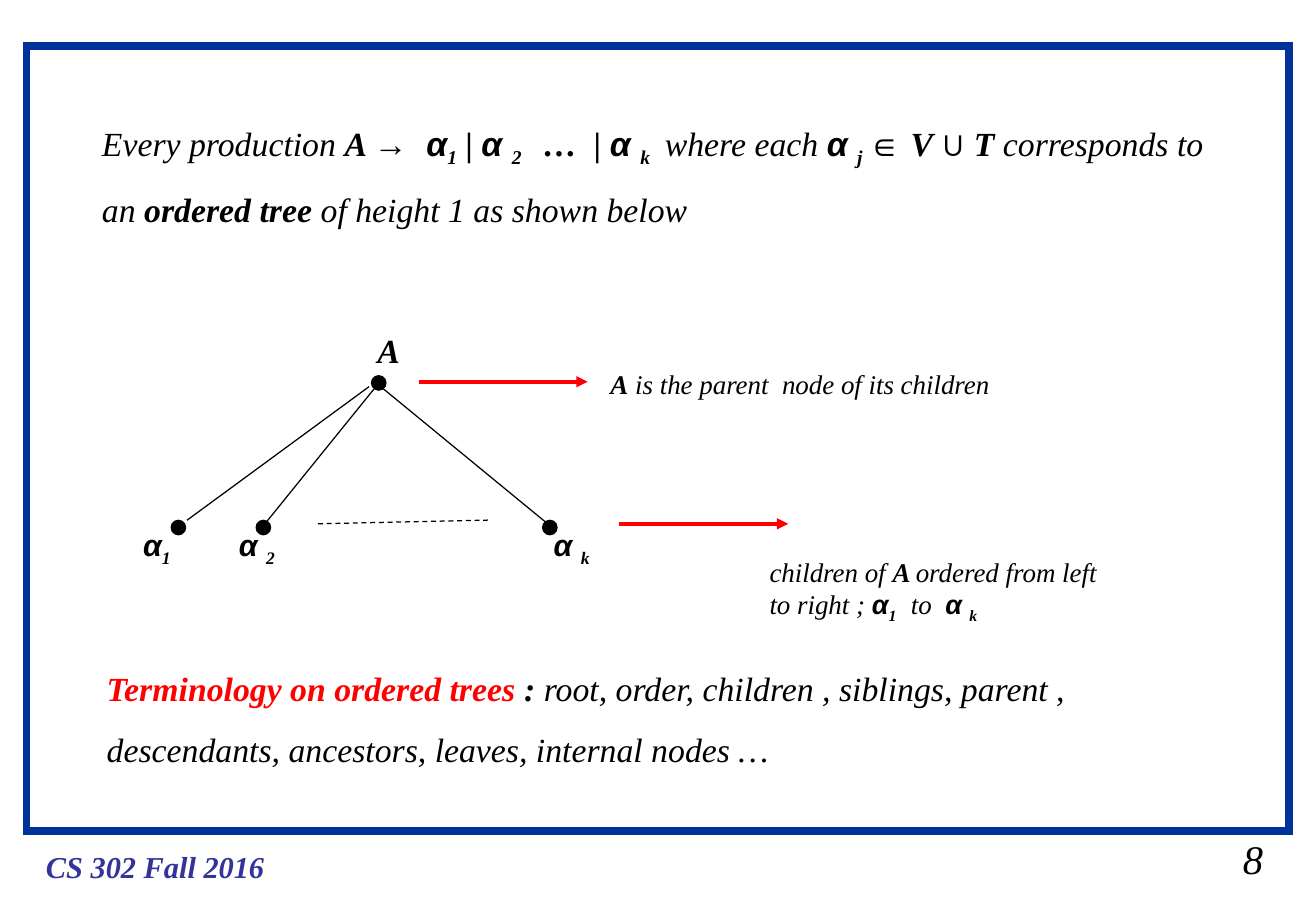
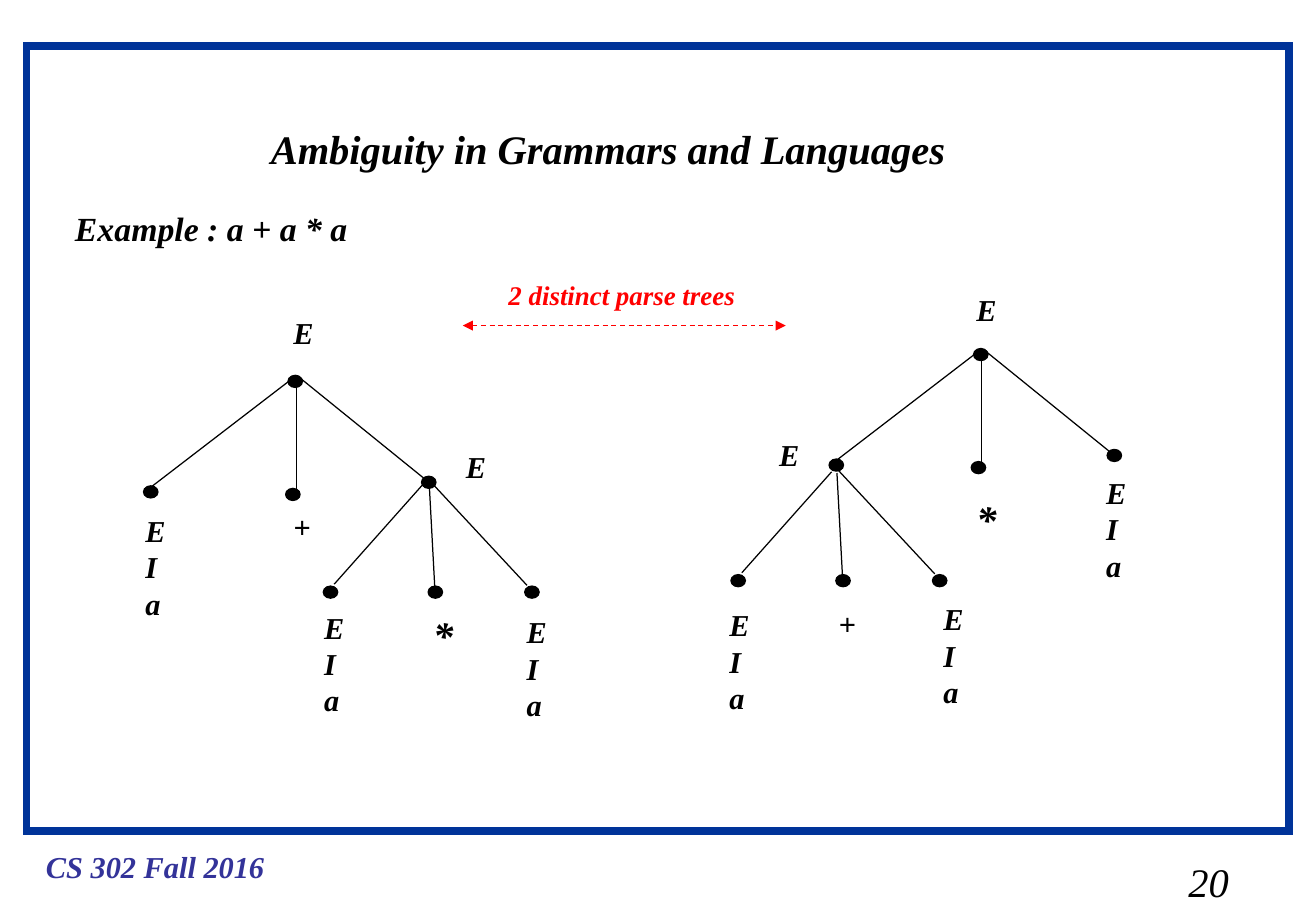
"""Build two lecture slides on parse trees and ambiguity."""
from dataclasses import dataclass
from typing import Optional

from lxml.etree import SubElement
from pptx import Presentation
from pptx.dml.color import RGBColor
from pptx.enum.dml import MSO_LINE
from pptx.enum.shapes import MSO_CONNECTOR, MSO_SHAPE
from pptx.enum.text import MSO_ANCHOR, MSO_AUTO_SIZE, PP_ALIGN
from pptx.oxml.ns import qn
from pptx.presentation import Presentation as Deck
from pptx.shapes.autoshape import Shape
from pptx.slide import Slide
from pptx.util import Pt

BLACK = RGBColor(0x00, 0x00, 0x00)
RED = RGBColor(0xFF, 0x00, 0x00)
FRAME_BLUE = RGBColor(0x00, 0x33, 0x99)
FOOTER_BLUE = RGBColor(0x33, 0x33, 0x99)
SERIF = "Times New Roman"
SANS = "Arial"
TITLE_ONLY = 5

Point = tuple[float, float]


@dataclass(frozen=True)
class Span:
    """A stretch of text in one character format."""
    text: str
    bold: bool = False
    font: str = SERIF
    color: RGBColor = BLACK
    subscript: bool = False


@dataclass(frozen=True)
class Box:
    """A block of text with its place, size and paragraphs."""
    left: float
    top: float
    width: float
    height: float
    size: float
    lines: list[list[Span]]
    spacing: Optional[float] = None
    wrap: bool = False


@dataclass(frozen=True)
class Edge:
    """A straight line with its stroke and arrowheads."""
    start: Point
    end: Point
    color: RGBColor = BLACK
    weight: float = 0.75
    dashed: bool = False
    arrows: tuple[str, ...] = ()


@dataclass(frozen=True)
class Fan:
    """Nodes and edges placed relative to a parent node."""
    nodes: list[Point]
    edges: list[tuple[Point, Point]]
    node_height: float = 7.2


def plain(text: str) -> Span:
    """Return regular text."""
    return Span(text)


def strong(text: str, color: RGBColor = BLACK) -> Span:
    """Return bold text."""
    return Span(text, bold=True, color=color)


def symbol(text: str, bold: bool = True) -> Span:
    """Return a symbol in the sans font."""
    return Span(text, bold=bold, font=SANS)


def alpha(index: str, gap: str = " ") -> list[Span]:
    """Return an alpha followed by its index."""
    return [symbol("α" + gap), Span(index, bold=True, subscript=True)]


def fill_text(shape: Shape, box: Box) -> None:
    """Place a text shape and write its paragraphs."""
    shape.left, shape.top = Pt(box.left), Pt(box.top)
    shape.width, shape.height = Pt(box.width), Pt(box.height)
    frame = shape.text_frame
    frame.word_wrap = box.wrap
    frame.auto_size = MSO_AUTO_SIZE.SHAPE_TO_FIT_TEXT
    frame.vertical_anchor = MSO_ANCHOR.TOP
    for index, line in enumerate(box.lines):
        para = frame.add_paragraph() if index else frame.paragraphs[0]
        para.alignment = PP_ALIGN.LEFT
        para.line_spacing = box.spacing
        para.font.size = Pt(box.size)
        para.font.italic = True
        for span in line:
            run = para.add_run()
            run.text = span.text
            run.font.name = span.font
            run.font.bold = span.bold
            run.font.color.rgb = span.color
            if span.subscript:
                run.font._element.set("baseline", "-25000")


def add_text(page: Slide, box: Box) -> None:
    """Add a text box."""
    fill_text(page.shapes.add_textbox(0, 0, 0, 0), box)


def add_edge(page: Slide, edge: Edge) -> None:
    """Add a line, dashed or with arrowheads if asked."""
    ends = [Pt(value) for value in edge.start + edge.end]
    connector = page.shapes.add_connector(MSO_CONNECTOR.STRAIGHT, *ends)
    connector.line.color.rgb = edge.color
    connector.line.width = Pt(edge.weight)
    if edge.dashed:
        connector.line.dash_style = MSO_LINE.DASH
    properties = connector.element.spPr
    for arrow in edge.arrows:
        SubElement(properties.find(qn("a:ln")), qn(f"a:{arrow}"), type="triangle")
    SubElement(properties, qn("a:effectLst"))


def add_fan(page: Slide, fan: Fan, origin: Point) -> None:
    """Draw a fan of nodes and edges from an origin."""
    left, top = origin
    for x, y in fan.nodes:
        node = page.shapes.add_shape(
            MSO_SHAPE.OVAL, Pt(left + x), Pt(top + y), Pt(8.6), Pt(fan.node_height))
        node.shadow.inherit = False
        node.fill.solid()
        node.fill.fore_color.rgb = BLACK
        node.line.color.rgb = BLACK
        node.line.width = Pt(0.75)
    for (x1, y1), (x2, y2) in fan.edges:
        add_edge(page, Edge((left + x1, top + y1), (left + x2, top + y2)))


def add_page(deck: Deck, title: Box, number: Box) -> Slide:
    """Add a page with its frame, footer, title and page number."""
    page = deck.slides.add_slide(deck.slide_layouts[TITLE_ONLY])
    frame = page.shapes.add_shape(
        MSO_SHAPE.RECTANGLE, Pt(15.8), Pt(27.4), Pt(748.8), Pt(465.1))
    frame.shadow.inherit = False
    frame.fill.background()
    frame.line.color.rgb = FRAME_BLUE
    frame.line.width = Pt(4.5)
    SubElement(frame.element.spPr.find(qn("a:ln")), qn("a:miter"), lim="800000")
    add_text(page, Box(
        20.2, 499, 144, 28.8, 18, [[strong("CS 302 Fall 2016", FOOTER_BLUE)]]))
    fill_text(page.shapes.title, title)
    add_text(page, number)
    return page


def build_production_page(deck: Deck) -> None:
    """Build the page on productions as ordered trees."""
    statement = [
        plain("Every production "), strong("A "), symbol("→  α"),
        Span("1", bold=True, subscript=True), strong(" | "),
        *alpha("2 "), strong("  …  | "), *alpha("k   "), plain("where each "),
        *alpha("j "), symbol("∈ ", bold=False), strong("V "), symbol("∪"),
        strong(" T "), plain("corresponds to an "), strong("ordered tree"),
        plain(" of height 1 as shown below")]
    page = add_page(
        deck,
        Box(53.3, 55.4, 674, 84.2, 20, [statement], spacing=1.5, wrap=True),
        Box(730.1, 490.7, 25.9, 36, 24, [[plain("8")]]))

    tree = Fan(
        nodes=[(0, 0), (-118.8, 85.7), (-68.4, 85.7), (101.5, 85.7)],
        edges=[((-1.4, 6.5), (-109.4, 85.7)), ((1.5, 7.9), (-62.6, 87.1)),
               ((7.2, 7.9), (103.7, 87.1))],
        node_height=8.6)
    add_fan(page, tree, (220.3, 222.7))
    add_edge(page, Edge((188.6, 310.5), (289.4, 308.3), dashed=True))
    for left, top in ((248.4, 226.3), (367.4, 310.5)):
        add_edge(page, Edge((left, top), (left + 100.1, top), RED, 2.25,
                            arrows=("tailEnd",)))

    terms = [
        [strong("Terminology on ordered trees ", RED), strong(": "),
         plain("root, order, children , siblings, parent ,")],
        [plain("descendants, ancestors, leaves, internal nodes …")]]
    children = [
        [plain("children of "), strong("A "), plain("ordered from left")],
        [plain("to right ; "), *alpha("1  ", gap=""), plain(" to  "), *alpha("k")]]
    parent = [[strong("A"), plain(" is the parent  node of its children")]]
    for box in (
            Box(216.7, 191.8, 30, 31.7, 20, [[strong("A")]]),
            Box(77.8, 308.4, 36, 31.7, 18, [alpha("1", gap="")]),
            Box(134.6, 308.4, 42, 31.7, 18, [alpha("2")]),
            Box(321.3, 308.4, 42, 31.7, 18, [alpha("k")]),
            Box(355, 214.6, 244, 26.6, 16, parent),
            Box(449.3, 325.7, 220, 48.2, 16, children),
            Box(56.2, 380.5, 594, 79.2, 20, terms, spacing=1.5)):
        add_text(page, box)


def build_ambiguity_page(deck: Deck) -> None:
    """Build the page with the two parse trees of one expression."""
    page = add_page(
        deck,
        Box(153.4, 69.8, 422, 36, 24, [[strong("Ambiguity in Grammars and Languages")]]),
        Box(697.7, 504.2, 42, 36, 24, [[plain("20")]]))
    add_text(page, Box(37.4, 119.5, 190, 31.7, 20, [[strong("Example : a + a * a")]]))

    upper = Fan(
        nodes=[(0, 0), (-85.7, 65.5), (-1.4, 67), (79.2, 59.8)],
        edges=[((2.5, 2), (-81.7, 66.6)), ((4.9, -0.4), (4.9, 71.6)),
               ((6.1, 0.7), (81.7, 61.9))])
    lower = Fan(
        nodes=[(-58.3, 65.2), (3.9, 65.2), (61.2, 65.2)],
        edges=[((1.4, 4.3), (-51.8, 64.1)), ((4.6, 5), (8.2, 72)),
               ((4.3, 2.2), (62.6, 64.8))])
    for fan, origin in ((upper, (170.8, 222.5)), (lower, (250, 282.2)),
                        (upper, (577.4, 206.6)), (lower, (491.8, 275.4))):
        add_fan(page, fan, origin)

    labels: dict[str, list[Point]] = {
        "E": [(167, 182.9), (269.3, 262.4), (572, 169.2), (455, 255.2)],
        "EIa": [(79.2, 300), (185.2, 357.3), (305.3, 360),
                (649, 277.5), (425.5, 356), (552.5, 352.4)],
        "+": [(167, 297.6), (490.3, 355)],
        "*": [(249.8, 357.8), (572, 289.2)]}
    for letters, places in labels.items():
        size = 24 if letters == "*" else 18
        lines = [[strong(letter)] for letter in letters]
        height = 7.2 + 1.2 * size * len(lines)
        for left, top in places:
            add_text(page, Box(left, top, 28, height, size, lines))

    add_edge(page, Edge((274.5, 193), (466, 193), RED, dashed=True,
                        arrows=("headEnd", "tailEnd")))
    add_text(page, Box(294.5, 161.5, 156, 26.6, 16,
                       [[strong("2 distinct parse trees", RED)]]))


def main() -> None:
    """Build and save the deck."""
    deck = Presentation()
    deck.slide_width = Pt(780.48)
    deck.slide_height = Pt(540)
    deck.element.sldSz.attrib.pop("type", None)
    build_production_page(deck)
    build_ambiguity_page(deck)
    deck.save("out.pptx")


if __name__ == "__main__":
    main()
